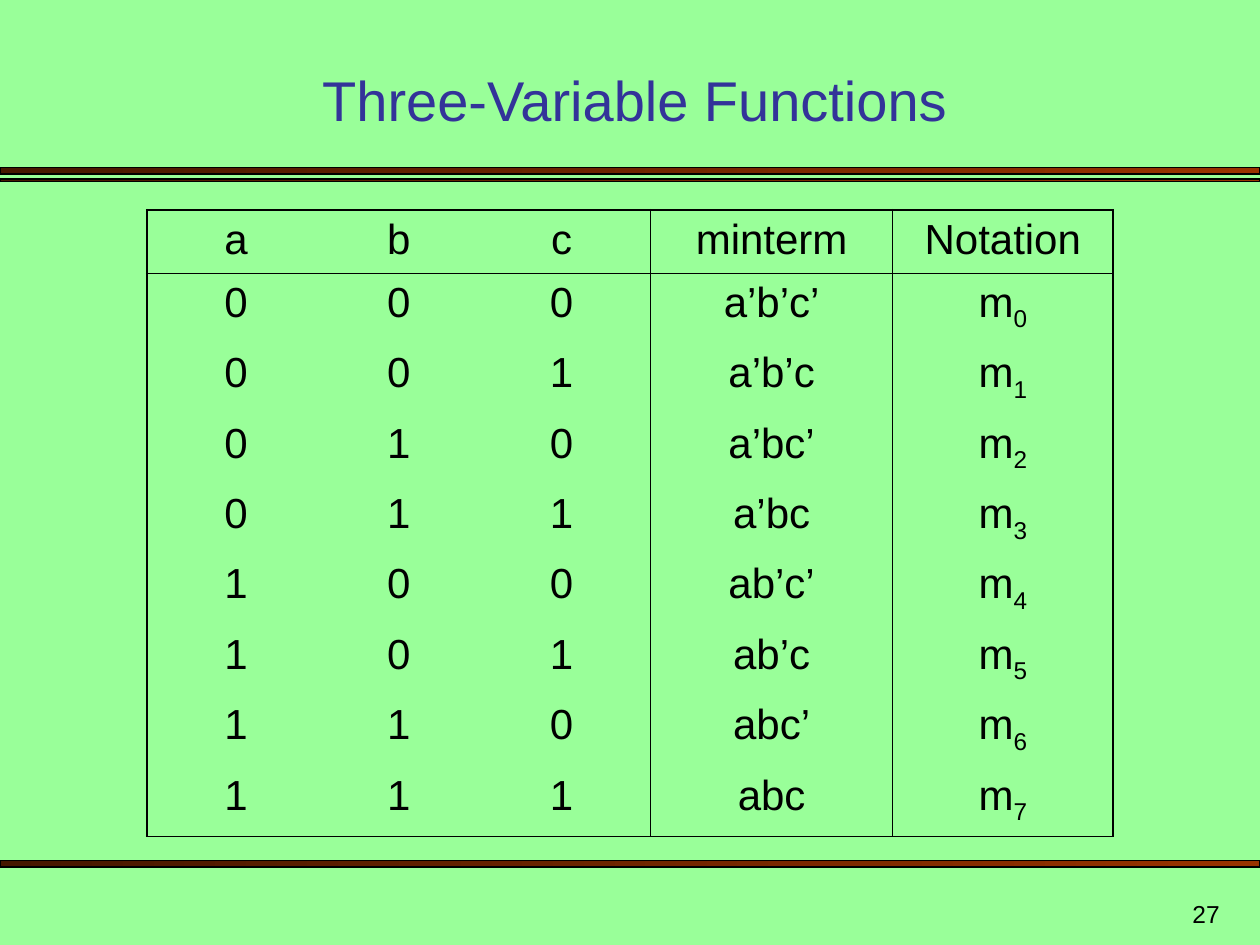
from dataclasses import dataclass

from lxml import etree
from pptx import Presentation
from pptx.dml.color import RGBColor
from pptx.enum.shapes import MSO_SHAPE
from pptx.enum.text import MSO_ANCHOR, PP_ALIGN
from pptx.oxml.ns import qn
from pptx.util import Cm, Pt

RECT = MSO_SHAPE.RECTANGLE
BOTTOM = MSO_ANCHOR.BOTTOM
CENTER, RIGHT = PP_ALIGN.CENTER, PP_ALIGN.RIGHT
COLORS = {"back": "99FF99", "title": "333399", "ink": "000000",
          "rust": "993300", "dark": "461700"}
FONT = "Arial"
NO_GRID = "{2D5ABB26-0587-4C30-8999-92F81FD0307C}"
THICK, THIN = 1.08, 0.45
WIDTHS = [3.6, 2.96, 3.6, 4.87, 4.45]
HEIGHTS = [1.27] + [1.42] * 8


@dataclass
class Bar:
    top: float
    height: float


@dataclass
class Label:
    text: str
    left: float
    top: float
    width: float
    height: float
    size: int
    color: str
    align: PP_ALIGN


BARS = [Bar(3.38, 0.13), Bar(3.61, 0.05), Bar(17.35, 0.13)]
LABELS = [
    Label("Three-Variable Functions", 1.47, 1.07, 22.66, 1.73, 32, "title", CENTER),
    Label("27", 19.56, 17.78, 5.28, 1.07, 14, "ink", RIGHT),
]


def rgb(name: str) -> RGBColor:
    return RGBColor.from_string(COLORS[name])


def style(para, size: int, color: str, align: PP_ALIGN) -> None:
    para.alignment = align
    for run in para.runs:
        run.font.name = FONT
        run.font.size = Pt(size)
        run.font.color.rgb = rgb(color)


def draw_bar(slide, bar: Bar) -> None:
    shape = slide.shapes.add_shape(RECT, 0, Cm(bar.top), Cm(25.4), Cm(bar.height))
    shape.shadow.inherit = False
    shape.fill.gradient()
    shape.fill.gradient_angle = 180
    for stop, name, place in zip(shape.fill.gradient_stops, ("rust", "dark"), (0, 1)):
        stop.color.rgb = rgb(name)
        stop.position = place
    shape.line.color.rgb = rgb("ink")
    shape.line.width = Pt(0.75)


def draw_label(slide, label: Label) -> None:
    box = slide.shapes.add_textbox(Cm(label.left), Cm(label.top),
                                   Cm(label.width), Cm(label.height))
    frame = box.text_frame
    frame.word_wrap = True
    frame.vertical_anchor = BOTTOM
    frame.text = label.text
    style(frame.paragraphs[0], label.size, label.color, label.align)


def set_edges(cell, edges: dict[str, float]) -> None:
    props = cell._tc.get_or_add_tcPr()
    for index, side in enumerate("LRTB"):
        width = edges[side]
        line = etree.Element(qn(f"a:ln{side}"), w=str(Pt(width)))
        fill = etree.SubElement(line, qn("a:solidFill" if width else "a:noFill"))
        if width:
            etree.SubElement(fill, qn("a:srgbClr"), val=COLORS["ink"])
        props.insert(index, line)


def fill_cell(cell, text: str, sub: str) -> None:
    cell.fill.background()
    cell.text_frame.text = text
    para = cell.text_frame.paragraphs[0]
    if sub:
        run = para.add_run()
        run.text = sub
        run._r.get_or_add_rPr().set("baseline", "-25000")
    style(para, 24, "ink", CENTER)


def make_rows() -> list[list[str]]:
    rows = [["a", "b", "c", "minterm", "Notation"]]
    for num in range(8):
        bits = format(num, "03b")
        term = "".join(name + ("" if bit == "1" else "’")
                       for name, bit in zip("abc", bits))
        rows.append([*bits, term, "m"])
    return rows


def draw_table(slide, rows: list[list[str]]) -> None:
    frame = slide.shapes.add_table(len(rows), len(WIDTHS), Cm(2.96), Cm(4.23),
                                   Cm(sum(WIDTHS)), Cm(sum(HEIGHTS)))
    table = frame.table
    table.first_row = table.horz_banding = False
    table._tbl.tblPr.find(qn("a:tableStyleId")).text = NO_GRID
    for col, width in zip(table.columns, WIDTHS):
        col.width = Cm(width)
    for row, height in zip(table.rows, HEIGHTS):
        row.height = Cm(height)
    cols = [THICK, 0, 0, THIN, THIN, THICK]
    lines = [THICK, THIN] + [0] * 7 + [THICK]
    for y, row in enumerate(rows):
        for x, text in enumerate(row):
            cell = table.cell(y, x)
            fill_cell(cell, text, str(y - 1) if text == "m" else "")
            set_edges(cell, {"L": cols[x], "R": cols[x + 1],
                             "T": lines[y], "B": lines[y + 1]})


def main() -> None:
    """Build the slide of three-variable minterms."""
    deck = Presentation()
    deck.slide_width, deck.slide_height = Cm(25.4), Cm(19.05)
    slide = deck.slides.add_slide(deck.slide_layouts[6])
    slide.background.fill.solid()
    slide.background.fill.fore_color.rgb = rgb("back")
    for bar in BARS:
        draw_bar(slide, bar)
    for label in LABELS:
        draw_label(slide, label)
    draw_table(slide, make_rows())
    deck.save("out.pptx")


if __name__ == "__main__":
    main()
